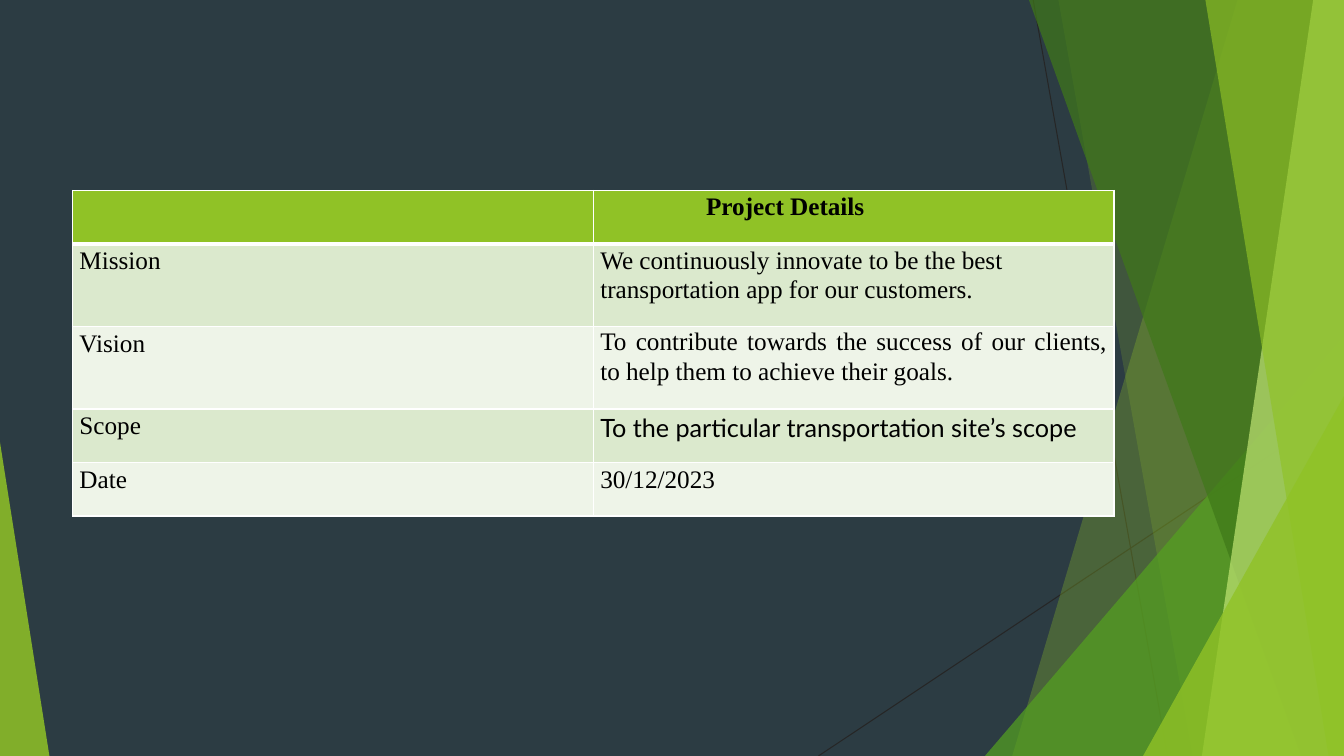
from lxml import etree
from pptx import Presentation
from pptx.dml.color import RGBColor
from pptx.enum.shapes import MSO_CONNECTOR, MSO_SHAPE
from pptx.enum.text import PP_ALIGN
from pptx.oxml import parse_xml
from pptx.oxml.ns import nsdecls, qn
from pptx.util import Pt

STRAIGHT = MSO_CONNECTOR.STRAIGHT
TRIANGLE = MSO_SHAPE.ISOSCELES_TRIANGLE
LEFT, JUSTIFY = PP_ALIGN.LEFT, PP_ALIGN.JUSTIFY
WIDTH, HEIGHT = 960, 540
LIME = "90C226"
SERIF, SANS = "Times New Roman", "Lato"


def paint(fill, color, opacity=100):
    fill.solid()
    fill.fore_color.rgb = RGBColor.from_string(color)
    if opacity < 100:
        srgb = fill._xPr.find(".//" + qn("a:srgbClr"))
        etree.SubElement(srgb, qn("a:alpha")).set("val", str(opacity * 1000))


def border_cell(cell, widths):
    for position, (side, width) in enumerate(zip("LRTB", widths)):
        border = parse_xml(
            f'<a:ln{side} {nsdecls("a")} w="{Pt(width)}"><a:solidFill>'
            f'<a:srgbClr val="FFFFFF"/></a:solidFill></a:ln{side}>')
        cell._tc.get_or_add_tcPr().insert(position, border)


prs = Presentation()
prs.slide_width, prs.slide_height = Pt(WIDTH), Pt(HEIGHT)
slide = prs.slides.add_slide(prs.slide_layouts[6])
paint(slide.background.fill, "2C3C43")

# Thin crossing lines
for x1, y1, x2, y2 in [(738, 0, 834, HEIGHT), (WIDTH, 290, 584.6, HEIGHT)]:
    ray = slide.shapes.add_connector(STRAIGHT, Pt(x1), Pt(y1), Pt(x2), Pt(y2))
    paint(ray.line.fill, "262626")
    ray.line.width = Pt(0.75)
    etree.SubElement(ray._element.spPr, qn("a:effectLst"))

# Facets: bands (top x, bottom x) reach the right edge,
# corners (left, top, width, apex) stand on the bottom edge
facets = [
    ((884, 723), LIME, 30),
    ((756, 852), LIME, 20),
    ((703.5, 240, 256.5, 1), "54A021", 72),
    ((735, 929.5), "3F7819", 70),
    ((938, 858.5), "C0E474", 70),
    ((861, 949), LIME, 65),
    ((816.5, 283, 143.5, 1), LIME, 80),
    ((0, 316, 35.3, 0), LIME, 85),
]
for geometry, color, opacity in facets:
    if len(geometry) == 2:
        top_x, bottom_x = geometry
        outline = slide.shapes.build_freeform(Pt(top_x), 0)
        outline.add_line_segments([(Pt(WIDTH), 0), (Pt(WIDTH), Pt(HEIGHT)),
                                   (Pt(bottom_x), Pt(HEIGHT))])
        facet = outline.convert_to_shape()
    else:
        left, top, width, apex = geometry
        facet = slide.shapes.add_shape(TRIANGLE, Pt(left), Pt(top),
                                       Pt(width), Pt(HEIGHT - top))
        facet.adjustments[0] = apex
    paint(facet.fill, color, opacity)
    facet.line.fill.background()
    facet.shadow.inherit = False

# Project details table
details = [
    ("", "Project Details"),
    ("Mission", "We continuously innovate to be the best transportation app "
                "for our customers."),
    ("Vision", "To contribute towards the success of our clients, to help "
               "them to achieve their goals."),
    ("Scope", "To the particular transportation site’s scope"),
    ("Date", "30/12/2023"),
]
row_heights = [38.2, 59, 59, 38.2, 38.2]
row_fills = [LIME, "DBE9CD", "EEF4E8", "DBE9CD", "EEF4E8"]
project_table = slide.shapes.add_table(
    len(details), 2, Pt(51.8), Pt(136), Pt(744), Pt(sum(row_heights))).table
for column in project_table.columns:
    column.width = Pt(372)

for r, row in enumerate(details):
    project_table.rows[r].height = Pt(row_heights[r])
    for c, text in enumerate(row):
        cell = project_table.cell(r, c)
        justified = text.startswith("To contribute")
        paint(cell.fill, row_fills[r])
        border_cell(cell, (1, 1, 3 if r == 1 else 1, 3 if r == 0 else 1))
        cell.margin_left, cell.margin_right = Pt(5), Pt(5 if justified else 2)
        cell.margin_top, cell.margin_bottom = Pt(0 if justified else 1), Pt(0)
        if not text:
            continue
        paragraph = cell.text_frame.paragraphs[0]
        paragraph.alignment = JUSTIFY if justified else LEFT
        paragraph.line_spacing = 1.06
        paragraph.space_after = Pt(8)
        if r == 0:
            paragraph._p.get_or_add_pPr().set("marL", str(Pt(75.6)))
        run = paragraph.add_run()
        run.text = text
        run.font.name = SANS if (row[0], c) == ("Scope", 1) else SERIF
        run.font.size = Pt(18)
        run.font.bold = r == 0
        paint(run.font.fill, "000000")

prs.save("out.pptx")
